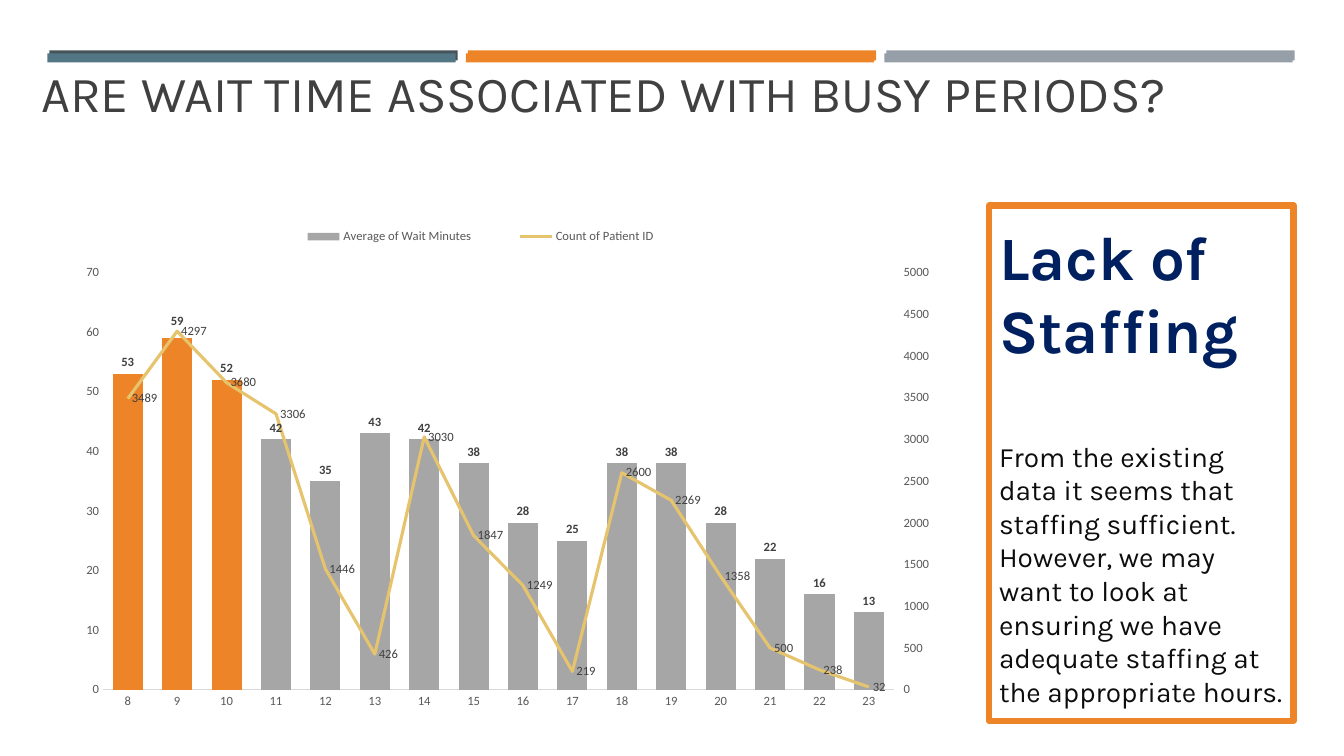
import pptx
import pptx.chart.axis
import pptx.chart.data
import pptx.dml.color
import pptx.enum.chart
import pptx.enum.shapes
import pptx.enum.text
import pptx.oxml
import pptx.oxml.ns
import pptx.util

PX = 9144
RGB = pptx.dml.color.RGBColor
WHITE = RGB(0xFF, 0xFF, 0xFF)
SLATE = RGB(0x46, 0x53, 0x59)
TEAL = RGB(0x53, 0x76, 0x85)
ORANGE = RGB(0xED, 0x84, 0x28)
SILVER = RGB(0x96, 0x9F, 0xA7)
CHARCOAL = RGB(0x40, 0x40, 0x40)
AXIS_TEXT = RGB(0x59, 0x59, 0x59)
AXIS_LINE = RGB(0xD9, 0xD9, 0xD9)
COLUMN_GRAY = RGB(0xA6, 0xA6, 0xA6)
GOLD = RGB(0xE6, 0xC4, 0x6D)
NAVY = RGB(0x00, 0x20, 0x60)
INK = RGB(0x0D, 0x0D, 0x0D)

HOURS = [str(hour) for hour in range(8, 24)]
WAIT_MINUTES = [53, 59, 52, 42, 35, 43, 42, 38, 28, 25, 38, 38, 28, 22, 16, 13]
PATIENT_COUNTS = [3489, 4297, 3680, 3306, 1446, 426, 3030, 1847,
                  1249, 219, 2600, 2269, 1358, 500, 238, 32]
BUSY_HOURS = 3
PEAK = WAIT_MINUTES.index(max(WAIT_MINUTES))

CHART_NS = 'xmlns:c="http://schemas.openxmlformats.org/drawingml/2006/chart"'
LINE_PLOT = f'''<c:lineChart {CHART_NS}><c:grouping val="standard"/>
<c:varyColors val="0"/><c:marker val="1"/>
<c:axId val="5001"/><c:axId val="5002"/></c:lineChart>'''
HIDDEN_HOURS = f'''<c:catAx {CHART_NS}><c:axId val="5001"/>
<c:scaling><c:orientation val="minMax"/></c:scaling><c:delete val="1"/>
<c:axPos val="b"/><c:crossAx val="5002"/><c:crosses val="autoZero"/></c:catAx>'''
RIGHT_AXIS = f'''<c:valAx {CHART_NS}><c:axId val="5002"/>
<c:scaling><c:orientation val="minMax"/></c:scaling><c:delete val="0"/>
<c:axPos val="r"/><c:numFmt formatCode="0" sourceLinked="0"/>
<c:majorTickMark val="out"/><c:minorTickMark val="none"/>
<c:tickLblPos val="nextTo"/><c:crossAx val="5001"/><c:crosses val="max"/></c:valAx>'''
LABEL_SHIFT = f'''<c:layout {CHART_NS}><c:manualLayout>
<c:x val="0"/><c:y val="-0.01"/></c:manualLayout></c:layout>'''


def px(*lengths):
    return [pptx.util.Emu(length * PX) for length in lengths]


def style_font(font, name, size, color, bold=False):
    font.name = name
    font.size = pptx.util.Pt(size)
    font.color.rgb = color
    font.bold = bold


def add_span(para, text, size, color, bold=False):
    span = para.add_run()
    span.text = text
    style_font(span.font, "Karla", size, color, bold)


def add_rectangle(page, place, fill, line=None, width=0):
    box = page.shapes.add_shape(
        pptx.enum.shapes.MSO_SHAPE.RECTANGLE, *px(*place))
    box.shadow.inherit = False
    box.fill.solid()
    box.fill.fore_color.rgb = fill
    if line is None:
        box.line.fill.background()
    else:
        box.line.color.rgb = line
        box.line.width = pptx.util.Pt(width)
    return box


def add_header_bars(page):
    for index, (back, front) in enumerate(
            [(SLATE, TEAL), (ORANGE, ORANGE), (SILVER, SILVER)]):
        add_rectangle(page, (49 + 415 * index, 50, 405, 10), back)
        add_rectangle(page, (47 + 415 * index, 53, 405, 9), front)


def add_title(page, text):
    box = page.shapes.add_textbox(*px(31, 67, 1232, 60))
    box.text_frame.word_wrap = True
    box.text_frame.vertical_anchor = pptx.enum.text.MSO_ANCHOR.BOTTOM
    add_span(box.text_frame.paragraphs[0], text, 36, CHARCOAL)


def add_finding(page, heading, detail):
    box = add_rectangle(page, (981, 204, 302, 511), WHITE, ORANGE, 4.5)
    frame = box.text_frame
    frame.word_wrap = True
    frame.vertical_anchor = pptx.enum.text.MSO_ANCHOR.MIDDLE
    heading_para = frame.paragraphs[0]
    detail_para = frame.add_paragraph()
    detail_para.space_before = pptx.util.Pt(52)
    add_span(heading_para, heading, 44, NAVY, True)
    add_span(detail_para, detail, 20, INK)
    for para in frame.paragraphs:
        para.alignment = pptx.enum.text.PP_ALIGN.LEFT


def make_layout(left, top, width, height, inner=False):
    target = '<c:layoutTarget val="inner"/>' if inner else ""
    return pptx.oxml.parse_xml(f'''<c:layout {CHART_NS}><c:manualLayout>{target}
<c:xMode val="edge"/><c:yMode val="edge"/><c:x val="{left}"/><c:y val="{top}"/>
<c:w val="{width}"/><c:h val="{height}"/></c:manualLayout></c:layout>''')


def remove_layout(parent):
    for layout in parent.findall(pptx.oxml.ns.qn("c:layout")):
        parent.remove(layout)


def move_to_right_axis(plot_area, series):
    line_plot = pptx.oxml.parse_xml(LINE_PLOT)
    invert = series.find(pptx.oxml.ns.qn("c:invertIfNegative"))
    if invert is not None:
        series.remove(invert)
    plot_area.find(pptx.oxml.ns.qn("c:barChart")).addnext(line_plot)
    line_plot.insert(2, series)
    right_axis = pptx.oxml.parse_xml(RIGHT_AXIS)
    left_axis = plot_area.find(pptx.oxml.ns.qn("c:valAx"))
    left_axis.addnext(right_axis)
    right_axis.addnext(pptx.oxml.parse_xml(HIDDEN_HOURS))
    return pptx.chart.axis.ValueAxis(right_axis)


def style_axis(axis, tick, line=None):
    axis.has_major_gridlines = False
    axis.major_tick_mark = tick
    style_font(axis.tick_labels.font, "Calibri", 9, AXIS_TEXT)
    if line is None:
        axis.format.line.fill.background()
    else:
        axis.format.line.color.rgb = line
        axis.format.line.width = pptx.util.Pt(0.75)


def label_series(series, position, bold=False):
    labels = series.data_labels
    labels.show_value = True
    labels.position = position
    labels.number_format = "0"
    labels.number_format_is_linked = False
    style_font(labels.font, "Calibri", 9, CHARCOAL, bold)


def raise_peak_label(chart, series, position):
    label = series.points[PEAK].data_label
    label.position = position
    style_font(label.font, "Calibri", 9, CHARCOAL, True)
    element = chart.element.find(".//" + pptx.oxml.ns.qn("c:dLbl"))
    element.insert(1, pptx.oxml.parse_xml(LABEL_SHIFT))


def add_legend(chart):
    chart.has_legend = True
    legend = chart.legend
    legend.position = pptx.enum.chart.XL_LEGEND_POSITION.TOP
    legend.include_in_layout = False
    style_font(legend.font, "Calibri", 9, AXIS_TEXT)
    element = chart.element.find(".//" + pptx.oxml.ns.qn("c:legend"))
    remove_layout(element)
    element.find(pptx.oxml.ns.qn("c:legendPos")).addnext(
        make_layout(0.22, 0.03, 0.49, 0.06))


def add_wait_chart(page):
    data = pptx.chart.data.CategoryChartData(number_format="0")
    data.categories = HOURS
    data.add_series("Average of Wait Minutes", WAIT_MINUTES)
    data.add_series("Count of Patient ID", PATIENT_COUNTS)
    chart = page.shapes.add_chart(
        pptx.enum.chart.XL_CHART_TYPE.COLUMN_CLUSTERED,
        *px(67, 204, 881, 511), data).chart
    chart.has_title = False
    style_font(chart.font, "Calibri", 10, AXIS_TEXT)
    add_legend(chart)

    tick = pptx.enum.chart.XL_TICK_MARK
    style_axis(chart.category_axis, tick.NONE, AXIS_LINE)
    style_axis(chart.value_axis, tick.NONE)
    plot_area = chart.element.find(".//" + pptx.oxml.ns.qn("c:plotArea"))
    right_axis = move_to_right_axis(
        plot_area, plot_area.findall(".//" + pptx.oxml.ns.qn("c:ser"))[1])
    style_axis(right_axis, tick.OUTSIDE)
    remove_layout(plot_area)
    plot_area.insert(0, make_layout(0.04, 0.13, 0.89, 0.81, True))

    columns, lines = chart.plots
    columns.gap_width = 64
    columns.overlap = -27
    columns.vary_by_categories = False
    waits, patients = columns.series[0], lines.series[0]
    waits.format.fill.solid()
    waits.format.fill.fore_color.rgb = COLUMN_GRAY
    for index in range(BUSY_HOURS):
        fill = waits.points[index].format.fill
        fill.solid()
        fill.fore_color.rgb = ORANGE
    patients.smooth = False
    patients.marker.style = pptx.enum.chart.XL_MARKER_STYLE.NONE
    patients.format.line.color.rgb = GOLD
    patients.format.line.width = pptx.util.Pt(2.25)
    position = pptx.enum.chart.XL_LABEL_POSITION
    label_series(waits, position.OUTSIDE_END, True)
    label_series(patients, position.RIGHT)
    raise_peak_label(chart, waits, position.OUTSIDE_END)


def main():
    deck = pptx.Presentation()
    deck.slide_width, deck.slide_height = px(1333, 750)
    page = deck.slides.add_slide(deck.slide_layouts[6])
    add_header_bars(page)
    add_title(page, "ARE WAIT TIME ASSOCIATED WITH BUSY PERIODS?")
    add_wait_chart(page)
    add_finding(
        page, "Lack of Staffing",
        "From the existing data it seems that staffing sufficient. However, "
        "we may want to look at ensuring we have adequate staffing at the "
        "appropriate hours.")
    deck.save("out.pptx")


if __name__ == "__main__":
    main()
